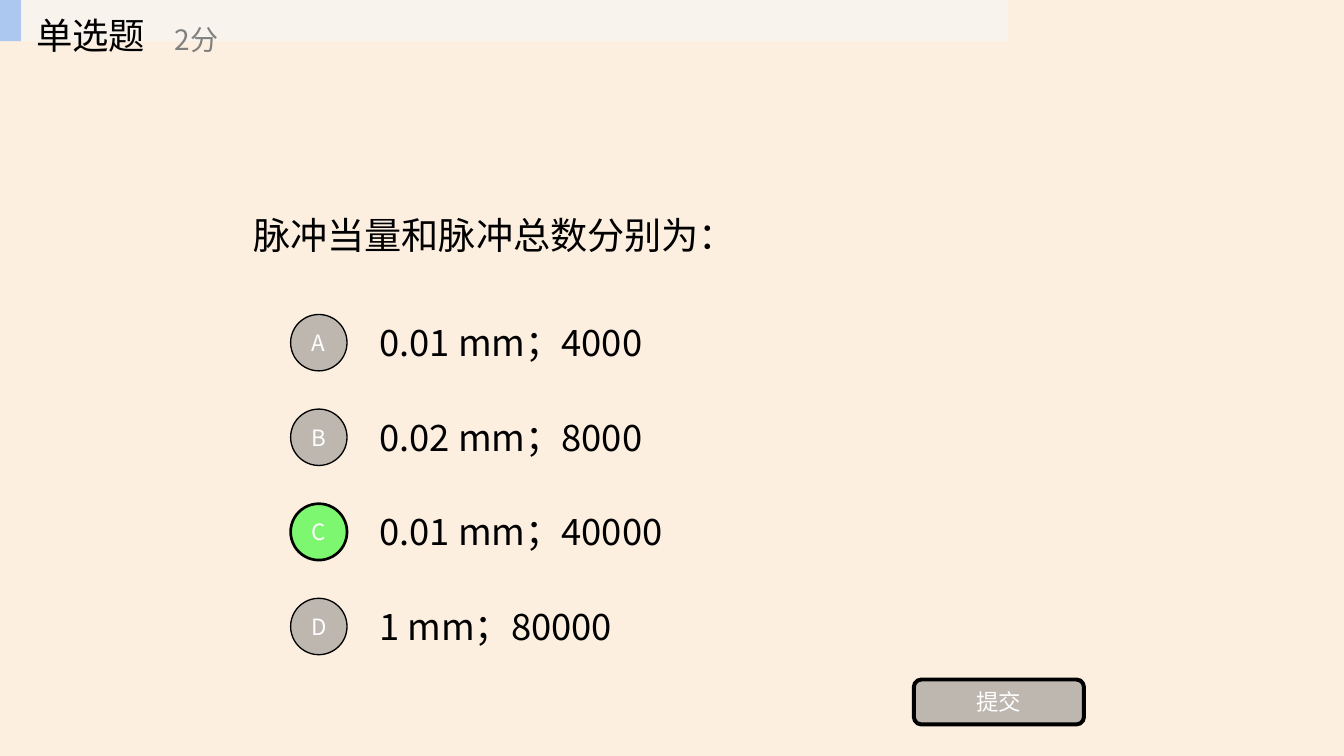
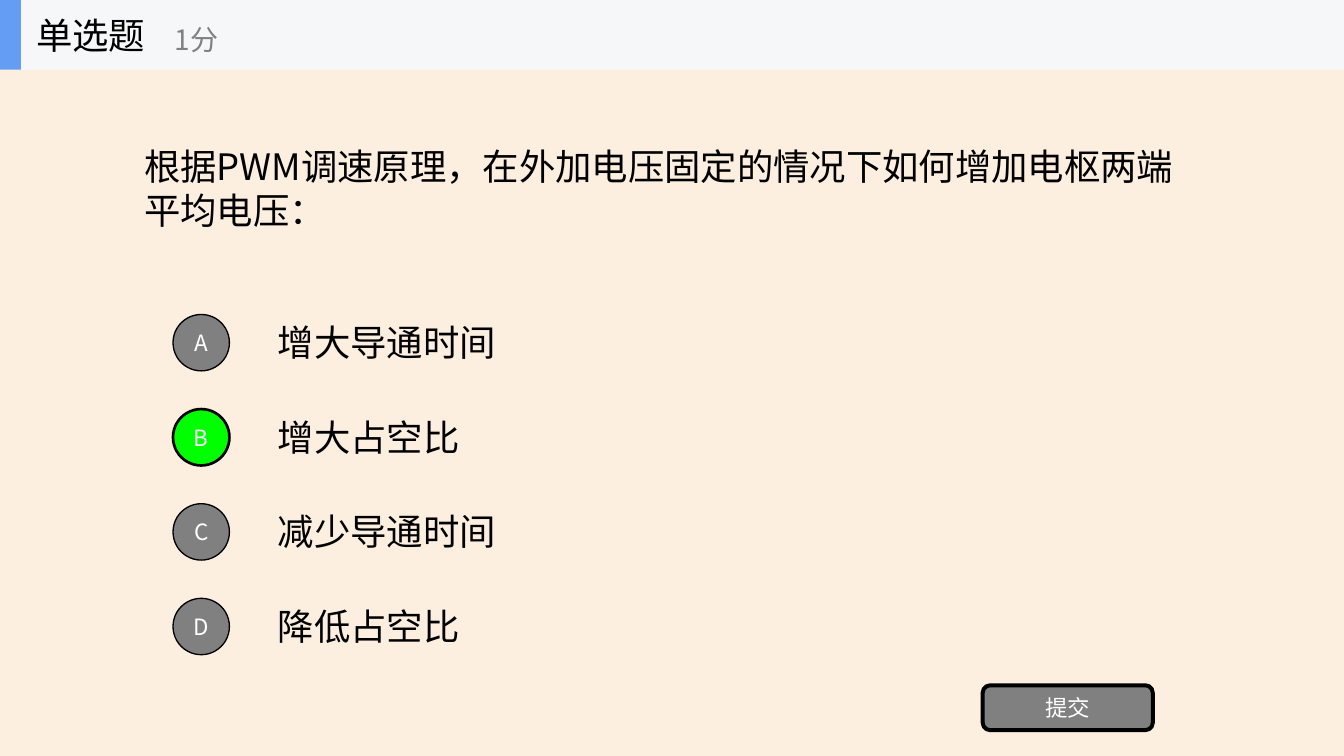
from dataclasses import dataclass

from lxml import etree
from pptx import Presentation
from pptx.dml.color import RGBColor
from pptx.enum import shapes, text
from pptx.oxml import ns
from pptx.util import Inches, Pt

WIDE, HIGH = 14.06, 7.91


@dataclass(frozen=True)
class Theme:
    font: str = "Noto Sans CJK SC"
    page: str = "FCEFE0"
    band: str = "F6F7F8"
    mark: str = "639EF4"
    ink: str = "000000"
    gray: str = "808080"
    right: str = "00FF00"
    white: str = "FFFFFF"
    large: float = 28
    body: float = 27.4
    score: float = 21.1
    small: float = 16.9


class Quiz:
    def __init__(self, theme):
        self.theme = theme
        self.deck = Presentation()
        self.deck.slide_width = Inches(WIDE)
        self.deck.slide_height = Inches(HIGH)
        fill = self.deck.slide_master.background.fill
        fill.solid()
        fill.fore_color.rgb = RGBColor.from_string(theme.page)
        self.slide = None
        self.alpha = None

    def start(self, alpha=None):
        self.slide = self.deck.slides.add_slide(self.deck.slide_layouts[5])
        self.alpha = alpha

    def letter(self, shape, words, size, color, align=text.PP_ALIGN.LEFT):
        frame = shape.text_frame
        frame.word_wrap = True
        frame.auto_size = text.MSO_AUTO_SIZE.NONE
        frame.vertical_anchor = text.MSO_ANCHOR.MIDDLE
        para = frame.paragraphs[0]
        para.alignment = align
        run = para.add_run()
        run.text = words
        run.font.size = Pt(size)
        run.font.name = self.theme.font
        run.font.color.rgb = RGBColor.from_string(color)
        props = run._r.get_or_add_rPr()
        props.set("lang", "zh-CN")
        east = etree.SubElement(props, ns.qn("a:ea"))
        east.set("typeface", self.theme.font)

    def title(self, words, left, top, width, size):
        shape = self.slide.shapes.title
        shape.left, shape.top = Inches(left), Inches(top)
        shape.width, shape.height = Inches(width), Inches(2.47)
        self.letter(shape, words, size, self.theme.ink)

    def label(self, words, left, top, width, height, size, color):
        box = self.slide.shapes.add_textbox(
            Inches(left), Inches(top), Inches(width), Inches(height))
        self.letter(box, words, size, color)

    def block(self, kind, left, top, width, height, color, line=0):
        shape = self.slide.shapes.add_shape(
            kind, Inches(left), Inches(top), Inches(width), Inches(height))
        shape.shadow.inherit = False
        shape.fill.solid()
        shape.fill.fore_color.rgb = RGBColor.from_string(color)
        if self.alpha:
            tint = shape._element.spPr.find(".//" + ns.qn("a:srgbClr"))
            etree.SubElement(tint, ns.qn("a:alpha")).set("val", str(self.alpha * 1000))
        if line:
            shape.line.color.rgb = RGBColor.from_string(self.theme.ink)
            shape.line.width = Pt(line)
        else:
            shape.line.fill.background()
        return shape

    def button(self, kind, words, left, top, width, height, color, line):
        shape = self.block(kind, left, top, width, height, color, line)
        self.letter(shape, words, self.theme.small, self.theme.white,
                    text.PP_ALIGN.CENTER)

    def header(self, score, width, height):
        look = self.theme
        rect = shapes.MSO_SHAPE.RECTANGLE
        self.block(rect, 0, 0, width, height, look.band)
        self.block(rect, 0, 0, 0.22, height, look.mark)
        self.label("单选题", 0.28, 0, 2.2, 0.73, look.body, look.ink)
        self.label(score, 1.73, 0.12, 2.64, 0.59, look.score, look.gray)

    def choices(self, items, answer, dot, left, width):
        look = self.theme
        for row, (key, words) in enumerate(zip("ABCD", items)):
            top = 3.21 + row * 0.99
            self.label(words, left, top, width, 0.74, look.body, look.ink)
            hit = key == answer
            self.button(shapes.MSO_SHAPE.OVAL, key, dot, top + 0.08, 0.59, 0.59,
                        look.right if hit else look.gray, 2 if hit else 1)

    def submit(self, left, top):
        self.button(shapes.MSO_SHAPE.ROUNDED_RECTANGLE, "提交", left, top,
                    1.78, 0.47, self.theme.gray, 3)


def main():
    look = Theme()
    quiz = Quiz(look)

    quiz.start(alpha=50)
    quiz.title("脉冲当量和脉冲总数分别为：", 2.55, 1.22, 8.44, look.large)
    quiz.choices(["0.01 mm；4000", "0.02 mm；8000", "0.01 mm；40000", "1 mm；80000"],
                 "C", 3.04, 3.87, 7.38)
    quiz.submit(9.56, 7.11)
    quiz.header("2分", 10.55, 0.43)

    quiz.start()
    quiz.title("根据PWM调速原理，在外加电压固定的情况下如何增加电枢两端平均电压：",
               1.41, 0.73, 11.25, look.body)
    quiz.choices(["增大导通时间", "增大占空比", "减少导通时间", "降低占空比"],
                 "B", 1.81, 2.81, 9.84)
    quiz.submit(10.28, 7.17)
    quiz.header("1分", WIDE, 0.73)

    quiz.deck.save("out.pptx")


if __name__ == "__main__":
    main()
